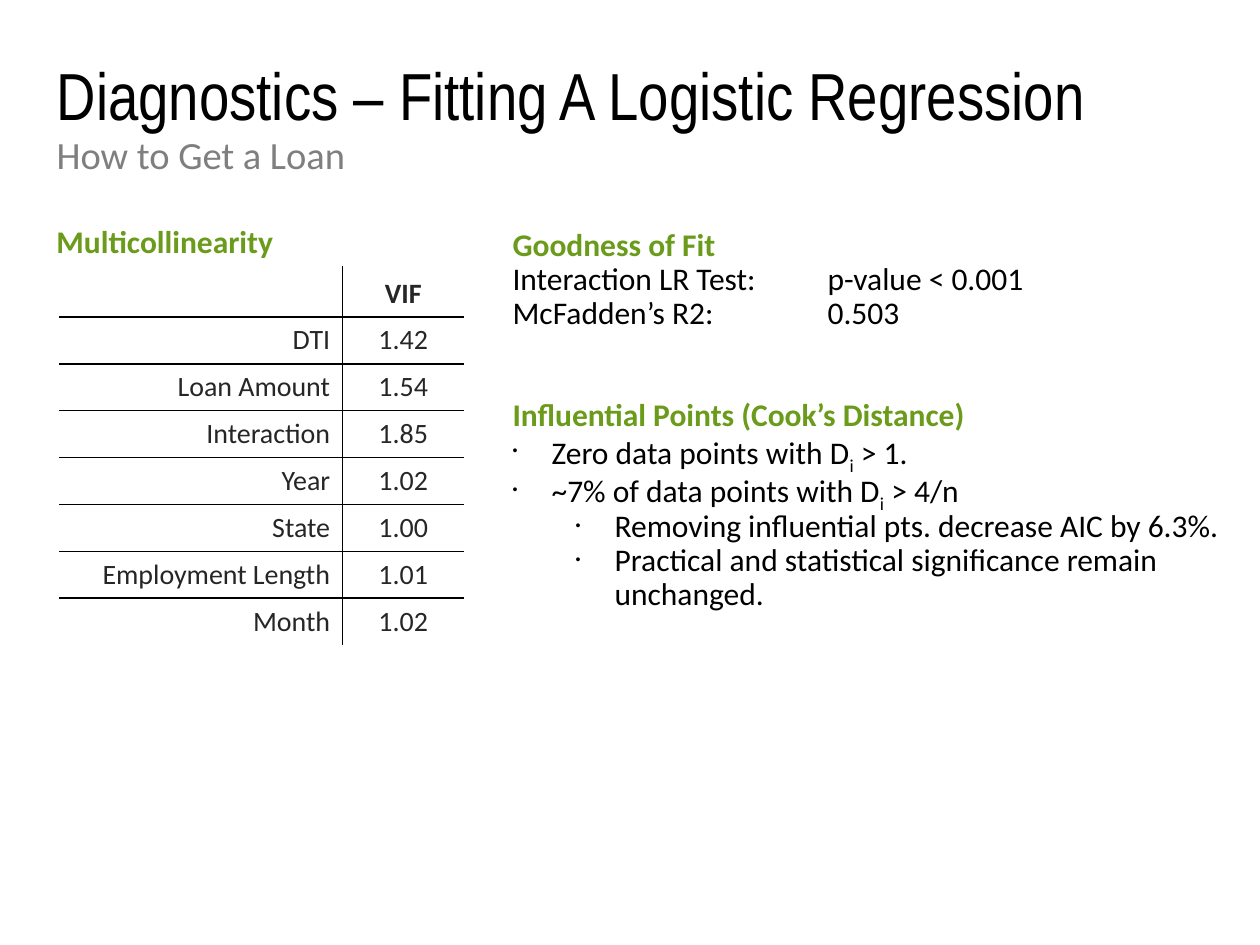
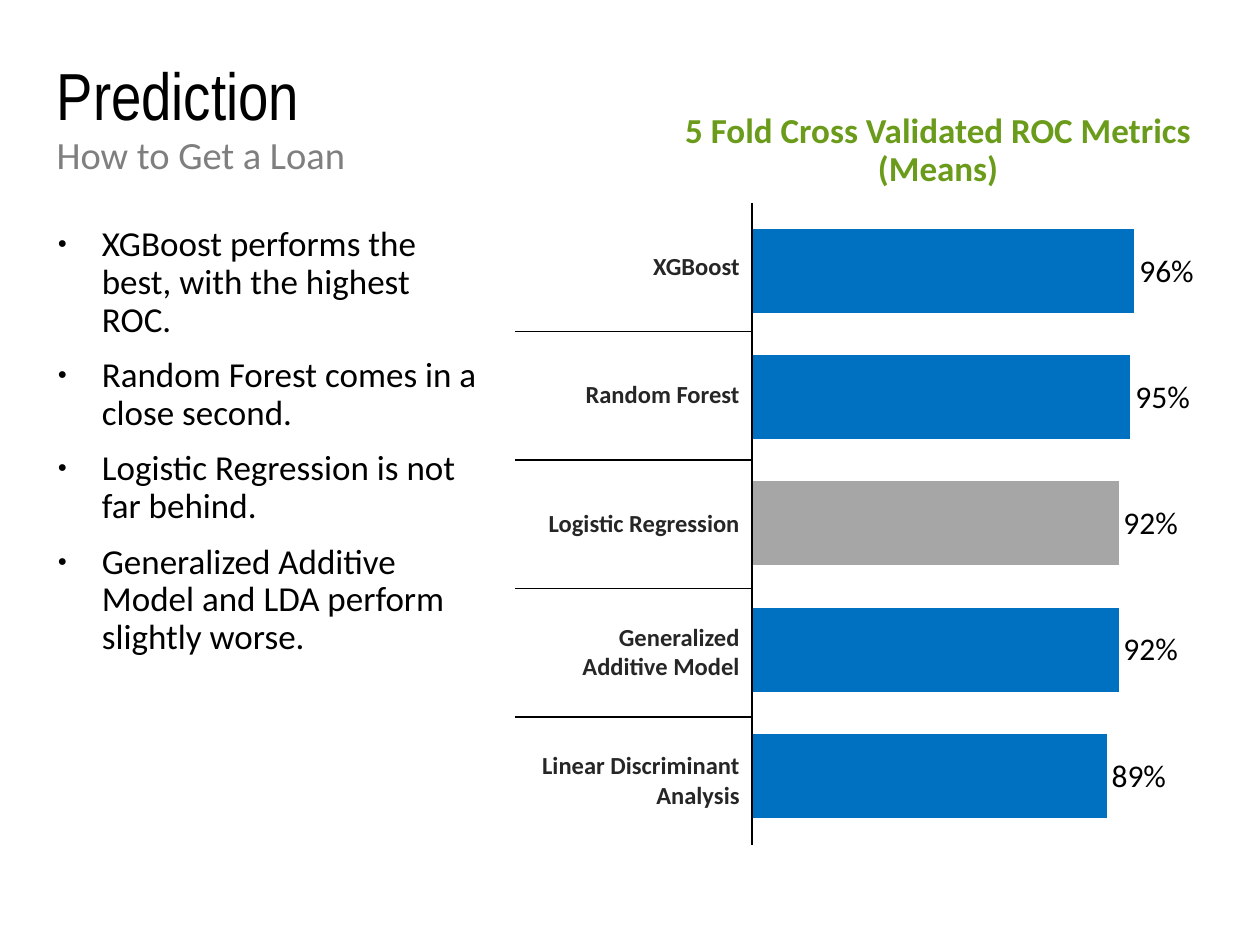
"""Build two slides on diagnosing and comparing loan approval models."""
from dataclasses import dataclass

from lxml import etree
from pptx import Presentation
from pptx import util as u
from pptx.chart.data import CategoryChartData
from pptx.dml.color import RGBColor
from pptx.enum import chart as charts, text
from pptx.oxml import parse_xml
from pptx.oxml.ns import nsdecls, qn

BLACK = RGBColor(0x00, 0x00, 0x00)
INK = RGBColor(0x26, 0x26, 0x26)
GRAY = RGBColor(0x7F, 0x7F, 0x7F)
GREEN = RGBColor(0x6B, 0x9B, 0x1A)
BLUE = RGBColor(0x00, 0x70, 0xC0)
SILVER = RGBColor(0xA6, 0xA6, 0xA6)

PX = 9144
LEFT, CENTER, RIGHT = text.PP_ALIGN.LEFT, text.PP_ALIGN.CENTER, text.PP_ALIGN.RIGHT
TOP, MIDDLE, BOTTOM = text.MSO_ANCHOR.TOP, text.MSO_ANCHOR.MIDDLE, text.MSO_ANCHOR.BOTTOM


def px(length):
    """Turn px into EMU."""
    return u.Emu(length * PX)


@dataclass
class Line:
    """One paragraph; every second run is a subscript."""
    runs: tuple
    size: int = 18
    color: RGBColor = BLACK
    bold: bool = False
    font: str = "Calibri"
    align: int = LEFT
    margin: int = 12
    hanging: int = 0
    bullet: str = ""
    level: int = 0
    before: int = 0
    spacing: float = 0.9


def heading(words, **style):
    """Return a green bold line."""
    return Line((words,), color=GREEN, bold=True, **style)


def point(*runs, level=0):
    """Return a bulleted line at one of two levels."""
    return Line(runs, margin=43 + 50 * level, hanging=31, bullet="•", level=level)


class Deck:
    """Shared style and the slide being filled."""

    def __init__(self):
        self.show = Presentation()
        self.show.slide_width, self.show.slide_height = px(1000), px(750)
        self.slide = None

    def start(self, title):
        self.slide = self.show.slides.add_slide(self.show.slide_layouts[5])
        holder = self.slide.shapes.title
        holder.left, holder.top, holder.width, holder.height = map(px, (45, 45, 910, 117))
        self.fill_frame(holder.text_frame, [Line((title,), 38, font="Arial Narrow", margin=0)], 0)
        self.text(45, 103, 910, 59, [Line(("How to Get a Loan",), 22, GRAY, margin=0)], 0)

    def fill_frame(self, frame, lines, inset=10):
        frame.word_wrap = True
        frame.auto_size = text.MSO_AUTO_SIZE.NONE
        frame.vertical_anchor = TOP
        frame.margin_left, frame.margin_right = px(inset), px(10)
        frame.margin_top = frame.margin_bottom = px(5)
        for index, line in enumerate(lines):
            paragraph = frame.add_paragraph() if index else frame.paragraphs[0]
            self.fill_paragraph(paragraph, line)

    def fill_paragraph(self, paragraph, line):
        paragraph.alignment, paragraph.level = line.align, line.level
        paragraph.line_spacing = line.spacing
        paragraph.space_before = u.Pt(line.before)
        properties = paragraph._p.get_or_add_pPr()
        properties.set("marL", str(px(line.margin)))
        properties.set("indent", str(-px(line.hanging)))
        if line.bullet:
            for tag, key, value in (("buSzPct", "val", "45000"),
                                    ("buFont", "typeface", "Arial"),
                                    ("buChar", "char", line.bullet)):
                etree.SubElement(properties, qn(f"a:{tag}")).set(key, value)
        for index, words in enumerate(line.runs):
            run = paragraph.add_run()
            run.text = words
            run.font.name, run.font.size = line.font, u.Pt(line.size)
            run.font.bold, run.font.color.rgb = line.bold, line.color
            if index % 2:
                run._r.get_or_add_rPr().set("baseline", "-25000")

    def text(self, left, top, width, height, lines, inset=10):
        box = self.slide.shapes.add_textbox(*map(px, (left, top, width, height)))
        self.fill_frame(box.text_frame, lines, inset)

    def table(self, left, top, widths, row_height, rows, size, bold_rows):
        height = row_height * len(rows)
        table = self.slide.shapes.add_table(
            len(rows), len(widths), *map(px, (left, top, sum(widths), height))).table
        table.first_row = table.horz_banding = False
        for column, width in zip(table.columns, widths):
            column.width = px(width)
        for r, row in enumerate(rows):
            table.rows[r].height = px(row_height)
            for c, words in enumerate(row):
                cell = table.cell(r, c)
                self.rule(cell, L=c > 0, R=c == 0, T=r > 0, B=r < len(rows) - 1)
                cell.fill.background()
                cell.vertical_anchor = BOTTOM if r == 0 and c else MIDDLE
                if words:
                    self.fill_paragraph(cell.text_frame.paragraphs[0], Line(
                        (words,), size, INK, r in bold_rows, margin=0,
                        align=CENTER if c else RIGHT, spacing=1.0))

    def rule(self, cell, **edges):
        properties = cell._tc.get_or_add_tcPr()
        for edge, drawn in edges.items():
            paint = f'<a:solidFill><a:srgbClr val="{BLACK}"/></a:solidFill>' if drawn else "<a:noFill/>"
            properties.append(parse_xml(
                f'<a:ln{edge} {nsdecls("a")} w="{u.Pt(1)}">{paint}</a:ln{edge}>'))

    def bars(self, left, top, width, height, values, highlight):
        data = CategoryChartData(number_format="0%")
        data.categories = [str(number + 1) for number in range(len(values))]
        data.add_series("Series 1", values)
        chart = self.slide.shapes.add_chart(
            charts.XL_CHART_TYPE.BAR_CLUSTERED, *map(px, (left, top, width, height)), data).chart
        chart.has_legend = chart.has_title = False
        chart.font.name, chart.font.size = "Calibri", u.Pt(18)
        chart.font.color.rgb = BLACK
        chart.category_axis.visible = chart.value_axis.visible = False
        chart.value_axis.has_major_gridlines = False
        chart.value_axis.minimum_scale, chart.value_axis.maximum_scale = 0, 1
        plot = chart.plots[0]
        plot.gap_width, plot.vary_by_categories = 50, False
        series = plot.series[0]
        for part, color in ((series, BLUE), (series.points[highlight], SILVER)):
            part.format.fill.solid()
            part.format.fill.fore_color.rgb = color
        plot.has_data_labels = True
        labels = plot.data_labels
        labels.show_value = True
        labels.number_format, labels.number_format_is_linked = "0%", False
        labels.position = charts.XL_LABEL_POSITION.OUTSIDE_END
        self.place_plot(chart, x=0, y=0, w=0.88, h=1)

    def place_plot(self, chart, **shares):
        area = chart._chartSpace.find(f".//{qn('c:plotArea')}")
        for old in area.findall(qn("c:layout")):
            area.remove(old)
        layout = etree.Element(qn("c:layout"))
        manual = etree.SubElement(layout, qn("c:manualLayout"))
        settings = {"layoutTarget": "inner", "xMode": "edge", "yMode": "edge", **shares}
        for tag, value in settings.items():
            etree.SubElement(manual, qn(f"c:{tag}")).set("val", str(value))
        area.insert(0, layout)


def diagnostics(deck):
    """Fill the slide on model diagnostics."""
    deck.start("Diagnostics – Fitting A Logistic Regression")
    deck.text(23, 175, 314, 71, [heading("Multicollinearity")])
    inflation = [("", "VIF"), ("DTI", "1.42"), ("Loan Amount", "1.54"),
                 ("Interaction", "1.85"), ("Year", "1.02"), ("State", "1.00"),
                 ("Employment Length", "1.01"), ("Month", "1.02")]
    deck.table(47, 211, (225, 96), 37, inflation, 16, bold_rows={0})
    deck.text(385, 177, 597, 71, [
        heading("Goodness of Fit"),
        Line(("Interaction LR Test:\t\tp-value < 0.001",)),
        Line(("McFadden’s R2:\t\t0.503",))])
    deck.text(385, 312, 597, 71, [
        heading("Influential Points (Cook’s Distance)"),
        point("Zero data points with D", "i", " > 1."),
        point("~7% of data points with D", "i", " > 4/n"),
        point("Removing influential pts. decrease AIC by 6.3%.", level=1),
        point("Practical and statistical significance remain unchanged.", level=1)])


def prediction(deck):
    """Fill the slide comparing the models."""
    deck.start("Prediction")
    models = ["XGBoost", "Random Forest", "Logistic Regression",
              "Generalized Additive Model", "Linear Discriminant Analysis"]
    deck.table(409, 161, (188,), 102, [(model,) for model in models], 14,
               bold_rows=range(len(models)))
    deck.bars(598, 165, 358, 501, (0.89, 0.92, 0.92, 0.95, 0.96), highlight=2)
    findings = ["XGBoost performs the best, with the highest ROC.",
                "Random Forest comes in a close second.",
                "Logistic Regression is not far behind.",
                "Generalized Additive Model and LDA perform slightly worse."]
    deck.text(24, 175, 366, 546, [
        Line((finding,), 20, margin=47, hanging=35, bullet="●", before=10)
        for finding in findings])
    deck.text(519, 85, 439, 120, [
        heading(words, size=20, align=CENTER)
        for words in ("5 Fold Cross Validated ROC Metrics", "(Means)")])


def main():
    """Build and save the deck."""
    deck = Deck()
    diagnostics(deck)
    prediction(deck)
    deck.show.save("out.pptx")


if __name__ == "__main__":
    main()
